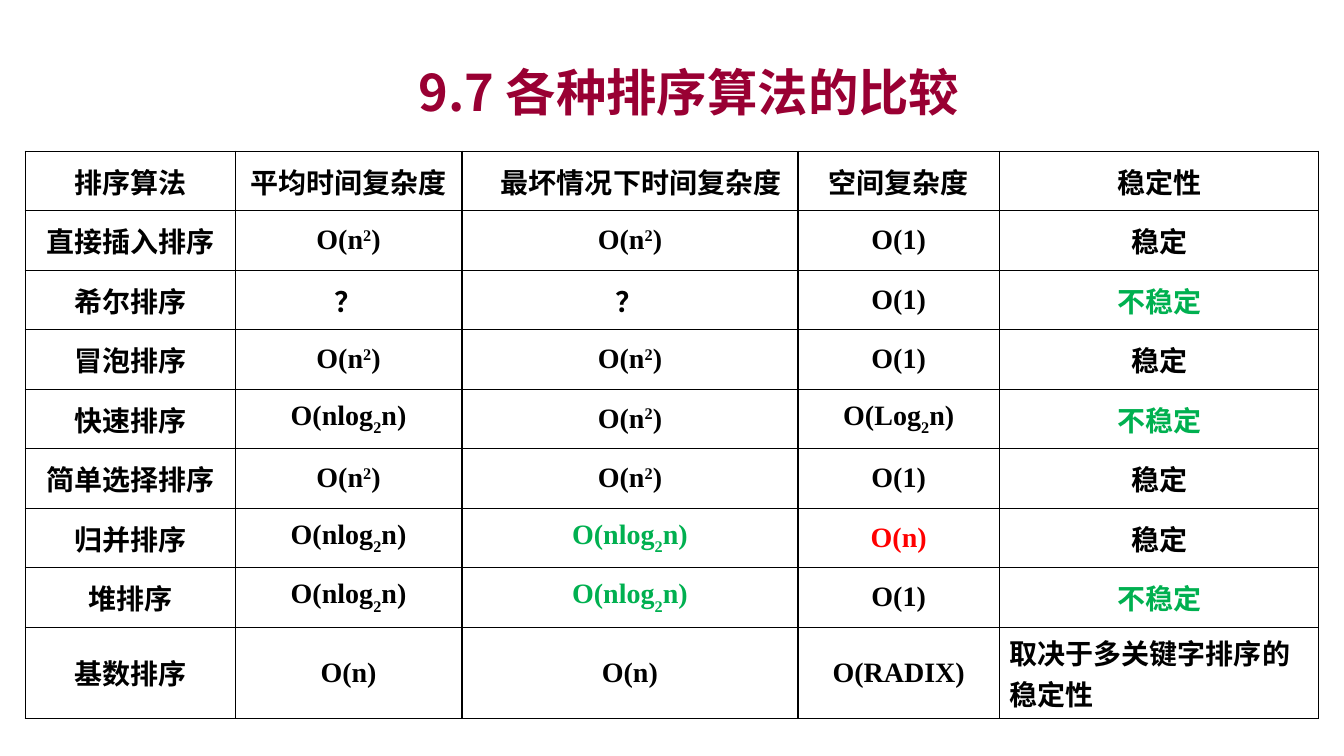
from lxml import etree
from pptx import Presentation
from pptx.dml.color import RGBColor
from pptx.enum import text as t
from pptx.oxml import ns
from pptx.util import Pt

TITLE = "9.7 各种排序算法的比较"
# ^ raises and _ lowers the one character that follows
SQUARE, LOG = "O(n^2)", "O(nlog_2n)"
ROWS = [
    ("排序算法", "平均时间复杂度", "最坏情况下时间复杂度", "空间复杂度", "稳定性"),
    ("直接插入排序", SQUARE, SQUARE, "O(1)", "稳定"),
    ("希尔排序", "？", "？", "O(1)", "不稳定"),
    ("冒泡排序", SQUARE, SQUARE, "O(1)", "稳定"),
    ("快速排序", LOG, SQUARE, "O(Log_2n)", "不稳定"),
    ("简单选择排序", SQUARE, SQUARE, "O(1)", "稳定"),
    ("归并排序", LOG, LOG, "O(n)", "稳定"),
    ("堆排序", LOG, LOG, "O(1)", "不稳定"),
    ("基数排序", "O(n)", "O(n)", "O(RADIX)", "取决于多关键字排序的稳定性"),
]
WIDTHS = [150, 162, 240, 144, 228]
# The last row holds two lines of text
HEIGHTS = [42.5] * (len(ROWS) - 1) + [65]
INDENT = 16
# Colour of a text within one column
MARKS = {(2, LOG): "green", (3, "O(n)"): "red", (4, "不稳定"): "green"}
COLORS = {"title": "990033", "text": "000000", "line": "000000",
          "green": "00B050", "red": "FF0000", "back": "FFFFFF"}
SHIFTS = {"^": "30000", "_": "-30000"}
LATIN, HAN = "Times New Roman", "Noto Sans CJK SC"


def style(run, size, color, face):
    font = run.font
    font.size, font.bold, font.name = Pt(size), True, face
    font.color.rgb = RGBColor.from_string(COLORS[color])
    east = etree.SubElement(run._r.get_or_add_rPr(), ns.qn("a:ea"))
    east.set("typeface", HAN)


def split(label):
    """Return (text, baseline) pairs for a label with a ^ or _ mark."""
    for mark, shift in SHIFTS.items():
        if mark in label:
            head, tail = label.split(mark)
            return [(head, None), (tail[0], shift), (tail[1:], None)]
    return [(label, None)]


def border(cell):
    props = cell._tc.get_or_add_tcPr()
    for i, side in enumerate("LRTB"):
        line = etree.Element(ns.qn(f"a:ln{side}"), w=str(Pt(1)))
        fill = etree.SubElement(line, ns.qn("a:solidFill"))
        etree.SubElement(fill, ns.qn("a:srgbClr"), val=COLORS["line"])
        props.insert(i, line)


def write(cell, label, color):
    """Fill, frame and label a cell; return its paragraph."""
    cell.fill.solid()
    cell.fill.fore_color.rgb = RGBColor.from_string(COLORS["back"])
    border(cell)
    cell.vertical_anchor = t.MSO_ANCHOR.MIDDLE
    para = cell.text_frame.paragraphs[0]
    para.alignment = t.PP_ALIGN.CENTER
    for part, shift in split(label):
        run = para.add_run()
        run.text = part
        style(run, 20, color, LATIN)
        if shift:
            run._r.get_or_add_rPr().set("baseline", shift)
    return para


def add_title(slide):
    box = slide.shapes.add_textbox(Pt(36), Pt(37.5), Pt(912), Pt(56))
    frame = box.text_frame
    frame.word_wrap = True
    frame.vertical_anchor = t.MSO_ANCHOR.MIDDLE
    para = frame.paragraphs[0]
    para.text = TITLE
    para.alignment = t.PP_ALIGN.CENTER
    style(para.runs[0], 36, "title", HAN)


def add_grid(slide):
    shape = slide.shapes.add_table(len(ROWS), len(WIDTHS), Pt(18), Pt(108),
                                   Pt(sum(WIDTHS)), Pt(sum(HEIGHTS)))
    grid = shape.table
    grid.first_row = grid.horz_banding = False
    for col, width in zip(grid.columns, WIDTHS):
        col.width = Pt(width)
    for r, (labels, height) in enumerate(zip(ROWS, HEIGHTS)):
        grid.rows[r].height = Pt(height)
        for c, label in enumerate(labels):
            para = write(grid.cell(r, c), label, MARKS.get((c, label), "text"))
            if (r, c) == (0, 2):
                para._p.get_or_add_pPr().set("indent", str(Pt(INDENT)))
    para.alignment = t.PP_ALIGN.LEFT  # the long last cell


def main():
    deck = Presentation()
    deck.slide_width, deck.slide_height = Pt(960), Pt(540)
    slide = deck.slides.add_slide(deck.slide_layouts[6])
    add_title(slide)
    add_grid(slide)
    deck.save("out.pptx")


if __name__ == "__main__":
    main()
